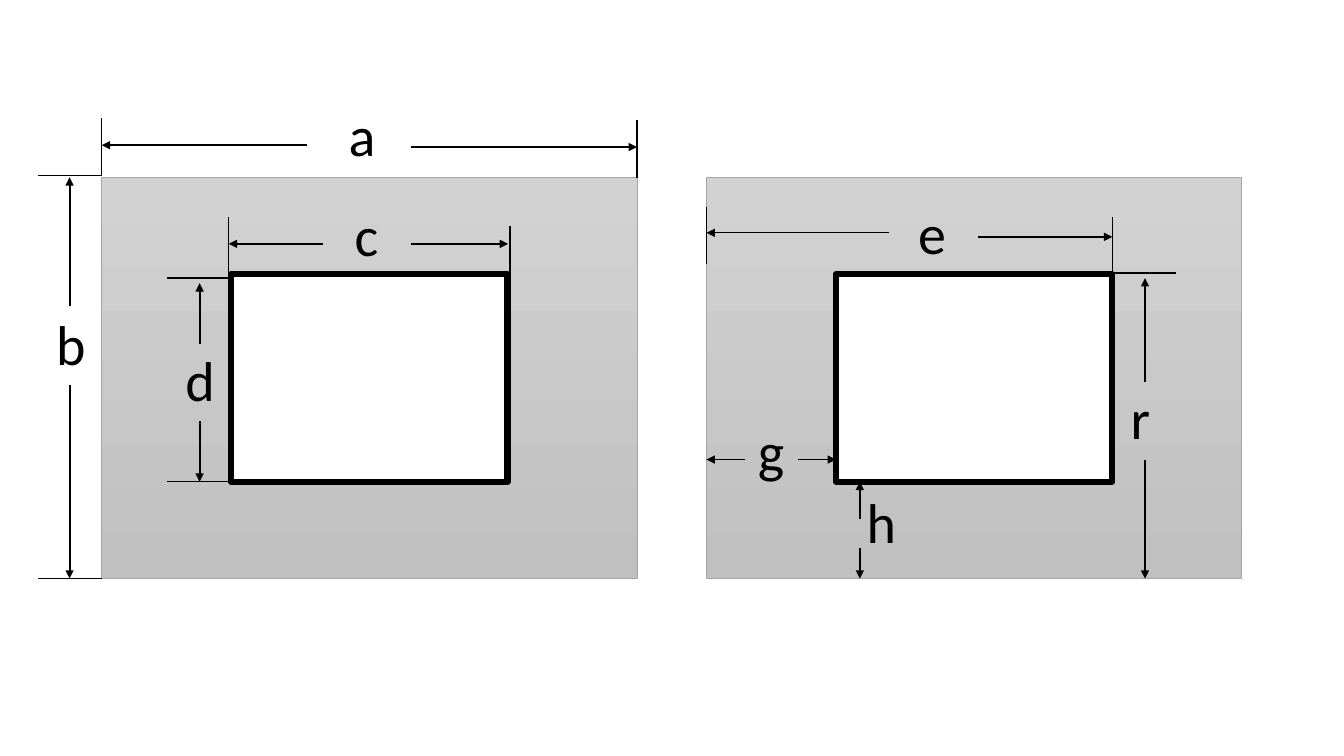
from dataclasses import dataclass

from lxml import etree
from pptx import Presentation
from pptx.dml.color import RGBColor
from pptx.enum.shapes import MSO_CONNECTOR, MSO_SHAPE
from pptx.oxml.ns import qn
from pptx.util import Pt

RECTANGLE = MSO_SHAPE.RECTANGLE
STRAIGHT = MSO_CONNECTOR.STRAIGHT


@dataclass(frozen=True)
class Theme:
    ink: RGBColor = RGBColor(0, 0, 0)
    opening: RGBColor = RGBColor(255, 255, 255)
    panel_top: RGBColor = RGBColor(0xD2, 0xD2, 0xD2)
    panel_bottom: RGBColor = RGBColor(0xC0, 0xC0, 0xC0)
    panel_edge: RGBColor = RGBColor(0xA5, 0xA5, 0xA5)
    font: str = "Calibri"
    label_size: float = 40
    thin: float = 1
    medium: float = 1.5
    thick: float = 4.5
    hairline: float = 0.5


THEME = Theme()
PANEL_TOP, PANEL_WIDTH, PANEL_HEIGHT = 126.7, 382.3, 286.6
PANEL_BOTTOM = PANEL_TOP + PANEL_HEIGHT
OPENING_TOP, OPENING_WIDTH, OPENING_HEIGHT = 195.8, 197.3, 148.3
OPENING_BOTTOM = OPENING_TOP + OPENING_HEIGHT
OPENING_INSET = 92.5
EXTENSION_HEIGHT = 41.2
EXTENSION_WIDTH = 45.8


def add_rectangle(slide, left, top, width, height, edge, edge_width):
    shape = slide.shapes.add_shape(
        RECTANGLE, Pt(left), Pt(top), Pt(width), Pt(height))
    shape.shadow.inherit = False
    shape.line.color.rgb = edge
    shape.line.width = Pt(edge_width)
    return shape


def add_panel(slide, left):
    panel = add_rectangle(slide, left, PANEL_TOP, PANEL_WIDTH, PANEL_HEIGHT,
                          THEME.panel_edge, THEME.hairline)
    panel.fill.gradient()
    panel.fill.gradient_angle = 270
    colors = (THEME.panel_top, THEME.panel_bottom)
    for position, (stop, color) in enumerate(
            zip(panel.fill.gradient_stops, colors)):
        stop.position = position
        stop.color.rgb = color
    opening = add_rectangle(slide, left + OPENING_INSET, OPENING_TOP,
                            OPENING_WIDTH, OPENING_HEIGHT,
                            THEME.ink, THEME.thick)
    opening.fill.solid()
    opening.fill.fore_color.rgb = THEME.opening


def add_line(slide, start, end, width=THEME.thin, arrow=False):
    (x1, y1), (x2, y2) = start, end
    line = slide.shapes.add_connector(
        STRAIGHT, Pt(x1), Pt(y1), Pt(x2), Pt(y2))
    line.line.color.rgb = THEME.ink
    line.line.width = Pt(width)
    if arrow:
        etree.SubElement(line.line._get_or_add_ln(), qn("a:tailEnd"),
                         type="triangle")
    etree.SubElement(line._element.spPr, qn("a:effectLst"))


def add_label(slide, text, left, top, width=33.8, height=55.4):
    box = slide.shapes.add_textbox(Pt(left), Pt(top), Pt(width), Pt(height))
    box.text_frame.word_wrap = True
    paragraph = box.text_frame.paragraphs[0]
    paragraph.text = text
    paragraph.font.name = THEME.font
    paragraph.font.size = Pt(THEME.label_size)
    paragraph.font.color.rgb = THEME.ink


def add_horizontal_arrows(slide, left, right, gap, left_y, right_y):
    add_line(slide, (gap[0], left_y), (left, left_y), arrow=True)
    add_line(slide, (gap[1], right_y), (right, right_y), arrow=True)


def add_vertical_arrows(slide, x, top, bottom, gap):
    add_line(slide, (x, gap[0]), (x, top), THEME.medium, arrow=True)
    add_line(slide, (x, gap[1]), (x, bottom), THEME.medium, arrow=True)


def main():
    presentation = Presentation()
    presentation.slide_width, presentation.slide_height = Pt(960), Pt(540)
    slide = presentation.slides.add_slide(presentation.slide_layouts[6])

    first_left, second_left = 72.7, 504.7
    first_right = first_left + PANEL_WIDTH
    second_opening_left = second_left + OPENING_INSET
    second_opening_right = second_opening_left + OPENING_WIDTH
    for left in (first_left, second_left):
        add_panel(slide, left)

    horizontal_dimensions = [
        (first_left, first_right, (219.6, 293.8), 103.7, 105.1),
        (163.4, 362.9, (230.4, 293.8), 174.2, 174.2),
        (second_left, second_opening_right, (635, 698.4), 166.3, 169.2),
        (second_left, second_opening_left, (532.1, 570.2), 328.3, 328.3),
    ]
    for dimension in horizontal_dimensions:
        add_horizontal_arrows(slide, *dimension)

    vertical_dimensions = [
        (49.7, PANEL_TOP, PANEL_BOTTOM, (218.9, 275)),
        (142.6, 202.3, OPENING_BOTTOM, (245.5, 301)),
        (817.9, 198.7, PANEL_BOTTOM, (272.9, 328.3)),
        (614.2, OPENING_BOTTOM, PANEL_BOTTOM, (370.8, 391.7)),
    ]
    for dimension in vertical_dimensions:
        add_vertical_arrows(slide, *dimension)

    upright_extensions = [
        (first_left, 84.2), (first_right, 85.7), (163.4, 155),
        (364.3, 161.3), (second_left, 147.6), (second_opening_right, 154.8),
    ]
    for x, top in upright_extensions:
        add_line(slide, (x, top), (x, top + EXTENSION_HEIGHT))

    level_extensions = [
        (26.9, 125.3), (26.9, PANEL_BOTTOM), (119.4, 198.7),
        (119.4, OPENING_BOTTOM), (second_opening_right, 195.1),
    ]
    for left, y in level_extensions:
        add_line(slide, (left, y), (left + EXTENSION_WIDTH, y))

    for text, left, top in [
        ("a", 241.9, 68.4), ("b", 33.1, 217.4), ("c", 246.2, 139.7),
        ("d", 125.3, 243.4), ("r", 800.6, 270.7),
    ]:
        add_label(slide, text, left, top)
    for text, left, top in [
        ("e", 648.7, 138.2), ("g", 534.2, 293.8), ("h", 612, 344.9),
    ]:
        add_label(slide, text, left, top, width=27.4, height=57.6)

    presentation.save("out.pptx")


main()
